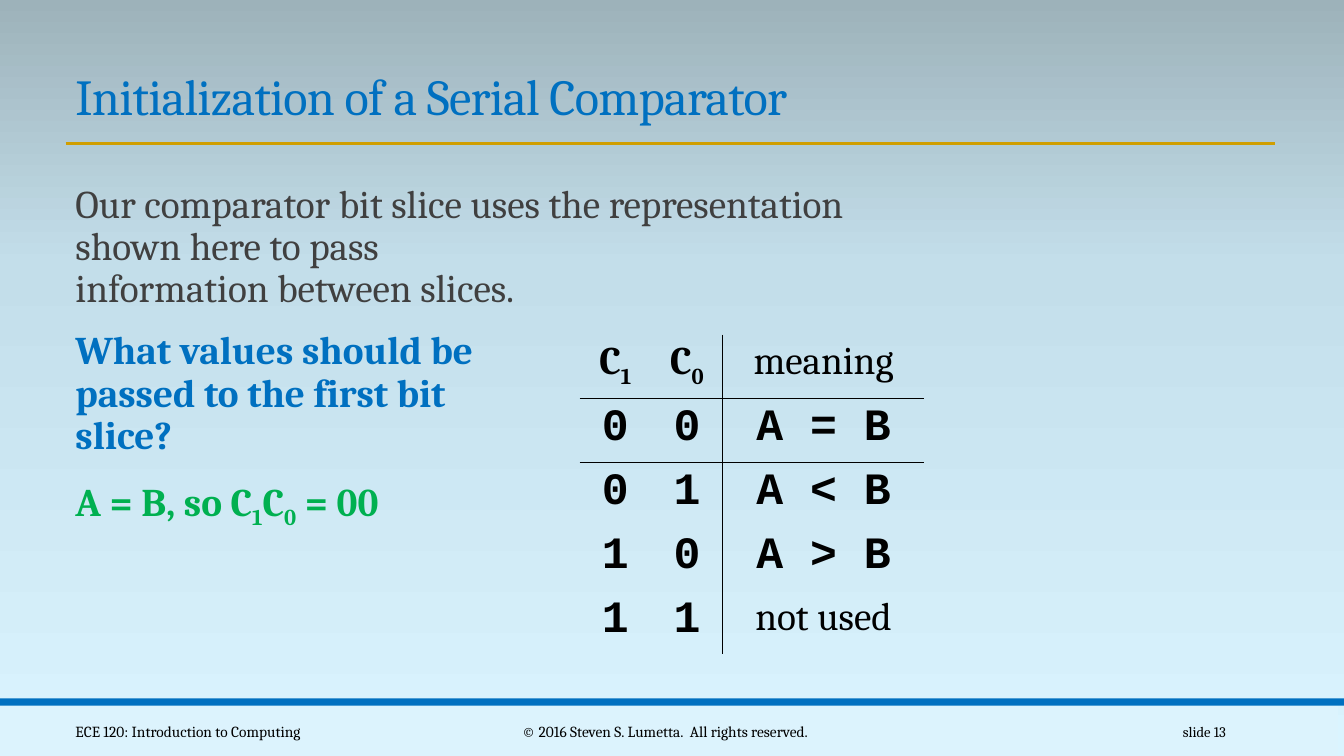
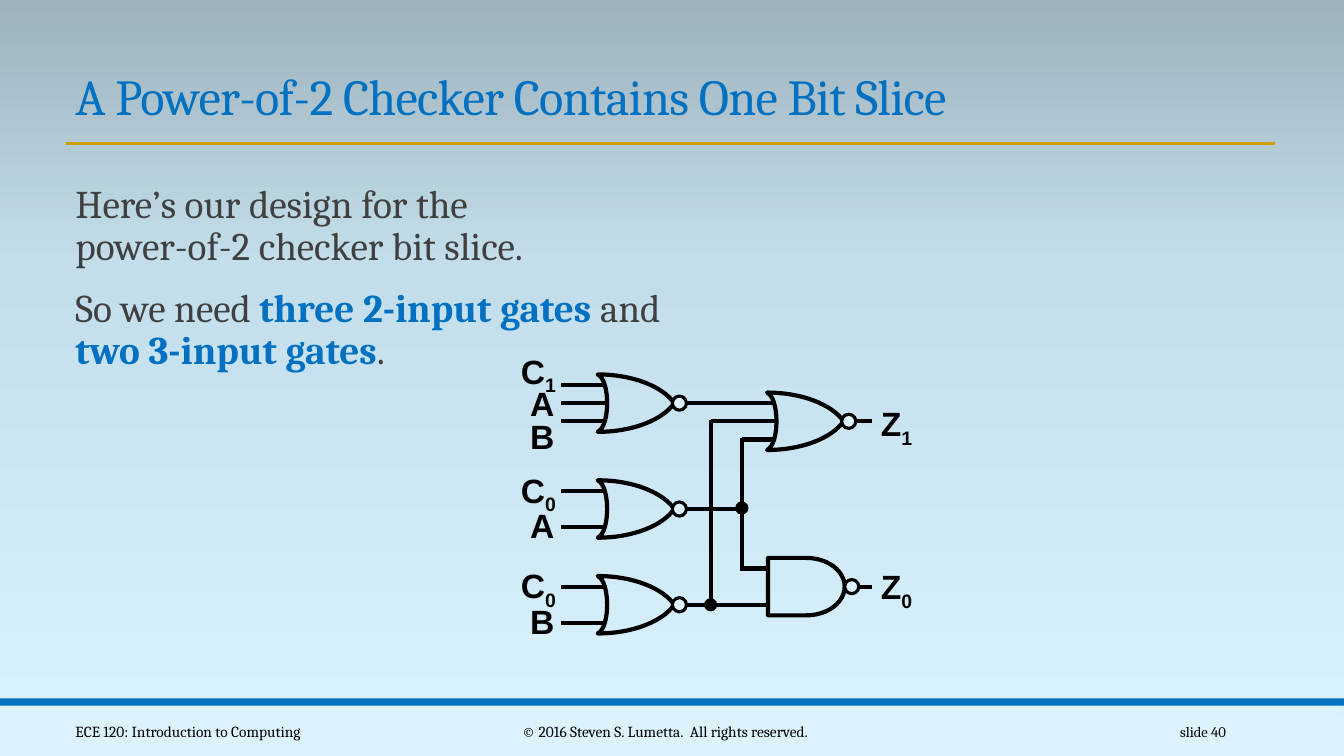
import copy
from dataclasses import dataclass
from typing import Any, NamedTuple

import pptx
import pptx.dml.color
import pptx.enum.shapes
import pptx.enum.text
import pptx.oxml
import pptx.oxml.ns
import pptx.util

Pt = pptx.util.Pt
ALIGN = pptx.enum.text.PP_ALIGN
ANCHOR = pptx.enum.text.MSO_ANCHOR
SHAPE = pptx.enum.shapes.MSO_SHAPE

# Grid: 0.1 inch cells, columns across and rows down
CELL = pptx.util.Inches(0.1)
COLS, ROWS = 133.33, 75

COLORS = {
    "sky": "DAF4FF", "mist": "C3DEEA", "slate": "9DB2BA", "pale": "DCF3FD",
    "blue": "0070C0", "gold": "D09E00", "gray": "404040", "green": "00B050",
    "black": "000000",
}
BACKGROUND = [(0, "sky"), (0.65, "mist"), (1, "slate")]

# Text styles: colour, then font attributes
STYLES: dict[str, tuple[str, dict[str, Any]]] = {
    "title": ("blue", {"name": "Cambria", "size": Pt(36)}),
    "body": ("gray", {"name": "Cambria", "size": Pt(28)}),
    "key": ("blue", {"name": "Cambria", "size": Pt(28), "bold": True}),
    "answer": ("green", {"name": "Cambria", "size": Pt(28), "bold": True}),
    "footer": ("black", {"name": "Cambria", "size": Pt(11)}),
    "number": ("black", {"name": "Cambria", "size": Pt(10.5)}),
    "head": ("black", {"name": "Cambria", "size": Pt(28), "bold": True}),
    "word": ("black", {"name": "Cambria", "size": Pt(28)}),
    "code": ("black", {"name": "Courier New", "size": Pt(32), "bold": True}),
    "signal": ("black", {"name": "Arial", "size": Pt(24), "bold": True}),
}
BODY_FORMAT = {"line_spacing": 0.9, "space_before": Pt(12), "space_after": Pt(2)}
NO_TABLE_STYLE = "{2D5ABB26-0587-4C30-8999-92F81FD0307C}"


class Run(NamedTuple):
    text: str
    style: str
    sub: bool = False


class Box(NamedTuple):
    left: float
    top: float
    width: float
    height: float


class Label(NamedTuple):
    letter: str
    digit: str
    left: float
    top: float


@dataclass(frozen=True)
class Gate:
    kind: str
    left: float
    mid: float
    inputs: tuple[float, ...]  # column where each input wire starts
    output: float              # column where the output wire ends


Paragraph = list[Run]
TITLE = Box(6.5, 5.9, 120.1, 7.1)
BODY = Box(6.5, 17.8, 85.2, 46.4)
FOOTERS = [
    (Box(6.5, 70.6, 32.5, 4), "ECE 120: Introduction to Computing", "footer", ALIGN.LEFT),
    (Box(40.3, 70.6, 51.4, 4), "© 2016 Steven S. Lumetta.  All rights reserved.",
     "footer", ALIGN.CENTER),
    (Box(108.3, 70.6, 14.3, 4), "slide {}", "number", ALIGN.RIGHT),
]

GATE_WIDTH, GATE_HEIGHT, INPUT_SPREAD = 7.6, 5.7, 1.8
GATES = [
    Gate("nor", 59.3, 40, (55.7,) * 3, 69.8),
    Gate("nor", 59.3, 50.5, (55.7,) * 2, 73.6),
    Gate("nor", 59.3, 60, (55.7,) * 2, 70.5),
    Gate("nor", 76.1, 41.8, (68.3, 70.5, 73.6), 86.5),
    Gate("nand", 76.2, 58.2, (73.6, 68.3), 86.5),
]
RISERS = [(73.6, 43.5, 56.6), (70.5, 41.7, 60)]
JUNCTIONS = [(73.6, 50.4), (70.5, 60)]
LABELS = [
    Label("C", "1", 50.7, 34.3), Label("A", "", 51.6, 37.5), Label("B", "", 51.6, 40.8),
    Label("C", "0", 50.7, 46.1), Label("A", "", 51.6, 49.6),
    Label("C", "0", 50.7, 55.6), Label("B", "", 51.6, 59.1),
    Label("Z", "1", 86.4, 39.5), Label("Z", "0", 86.4, 55.7),
]
LABEL_WIDTHS = {"C": 5.7, "Z": 5.3, "A": 4.5, "B": 4.5}


def grid(*cells: float) -> list[int]:
    return [round(c * CELL) for c in cells]


def rgb(color: str) -> pptx.dml.color.RGBColor:
    return pptx.dml.color.RGBColor.from_string(COLORS[color])


def apply(target: Any, values: dict[str, Any]) -> None:
    for name, value in values.items():
        setattr(target, name, value)


def indexed(letter: str, digit: str, style: str) -> Paragraph:
    return [Run(letter, style)] + ([Run(digit, style, True)] if digit else [])


# Text
def write(tf: Any, paragraphs: list[Paragraph], fmt: dict[str, Any]) -> None:
    for i, runs in enumerate(paragraphs):
        p = tf.add_paragraph() if i else tf.paragraphs[0]
        apply(p, fmt)
        for run in runs:
            color, font = STYLES[run.style]
            for j, line in enumerate(run.text.split("\n")):
                if j:
                    p.add_line_break()
                r = p.add_run()
                r.text = line
                apply(r.font, font)
                r.font.color.rgb = rgb(color)
                if run.sub:
                    r.font._element.set("baseline", "-25000")


def add_text(shapes: Any, box: Box, paragraphs: list[Paragraph], fmt: dict[str, Any],
             **frame: Any) -> Any:
    tf = shapes.add_textbox(*grid(*box)).text_frame
    apply(tf, {"word_wrap": True, **frame})
    write(tf, paragraphs, fmt)
    return tf


# Lines and shapes
def add_line(shapes: Any, ends: tuple[float, ...], color: str, width: float) -> None:
    c = shapes.add_connector(pptx.enum.shapes.MSO_CONNECTOR.STRAIGHT, *grid(*ends))
    c.line.color.rgb = rgb(color)
    c.line.width = Pt(width)
    no_shadow = pptx.oxml.parse_xml(f'<a:effectLst {pptx.oxml.ns.nsdecls("a")}/>')
    c._element.spPr.append(no_shadow)


def paint(sp: Any, fill: str = "", line: str = "", width: float = 0) -> None:
    sp.shadow.inherit = False
    for part, color in ((sp.fill, fill), (sp.line.fill, line)):
        if color:
            part.solid()
            part.fore_color.rgb = rgb(color)
        else:
            part.background()
    if line:
        sp.line.width = Pt(width)


def add_circle(shapes: Any, x: float, y: float, size: float, fill: str) -> None:
    box = grid(x - size / 2, y - size / 2, size, size)
    paint(shapes.add_shape(SHAPE.OVAL, *box), fill, "black", 2.25)


# Parts shared by every slide
def set_background(master: Any) -> None:
    fill = master.background.fill
    fill.gradient()
    stops = master.element.find(".//" + pptx.oxml.ns.qn("a:gsLst"))
    stops.append(copy.deepcopy(stops[0]))
    for stop, (position, color) in zip(fill.gradient_stops, BACKGROUND):
        stop.position = position
        stop.color.rgb = rgb(color)
    fill.gradient_angle = 90


def add_slide(prs: Any, title: str, number: int, body: list[Paragraph]) -> Any:
    s = prs.slides.add_slide(prs.slide_layouts[6])
    for box, color in ((Box(-0.6, 70, COLS, 5), "pale"), (Box(0, 69.3, COLS, 0.7), "blue")):
        paint(s.shapes.add_shape(SHAPE.RECTANGLE, *grid(*box)), color)
    add_line(s.shapes, (6.5, 14.2, 126.5, 14.2), "gold", 2)
    tf = add_text(s.shapes, TITLE, [[Run(title, "title")]], {"line_spacing": 0.85},
                  vertical_anchor=ANCHOR.BOTTOM)
    tf.paragraphs[0].runs[0].font._element.set("spc", "-50")
    add_text(s.shapes, BODY, body, BODY_FORMAT, margin_right=0)
    for box, text, style, align in FOOTERS:
        add_text(s.shapes, box, [[Run(text.format(number), style)]], {"alignment": align},
                 vertical_anchor=ANCHOR.MIDDLE)
    return s


# Truth table
def add_border(cell: Any, side: str) -> None:
    ln = pptx.oxml.parse_xml(
        f'<a:ln{side} {pptx.oxml.ns.nsdecls("a")} w="12700"><a:solidFill>'
        f'<a:srgbClr val="{COLORS["black"]}"/></a:solidFill></a:ln{side}>')
    cell._tc.get_or_add_tcPr().append(ln)


def add_meanings(s: Any) -> None:
    rows = [[indexed("C", "1", "head"), indexed("C", "0", "head"), [Run("meaning", "word")]]]
    for i, meaning in enumerate(("A = B", "A < B", "A > B", "not used")):
        style = "word" if meaning == "not used" else "code"
        rows.append([[Run(bit, "code")] for bit in f"{i:02b}"] + [[Run(meaning, style)]])
    widths, heights = (7.1, 7.1, 20), (4.7,) + (5.4,) * 4
    box = grid(57.5, 33.2, sum(widths), sum(heights))
    table = s.shapes.add_table(len(rows), len(widths), *box).table
    apply(table, {"first_row": False, "horz_banding": False})
    table._tbl.tblPr.find(pptx.oxml.ns.qn("a:tableStyleId")).text = NO_TABLE_STYLE
    for column, width in zip(table.columns, grid(*widths)):
        column.width = width
    for i, (row, height) in enumerate(zip(rows, grid(*heights))):
        table.rows[i].height = height
        for j, runs in enumerate(row):
            cell = table.cell(i, j)
            write(cell.text_frame, [runs], {"alignment": ALIGN.CENTER})
            edges = {"L": j == 2, "R": j == 1, "T": i == 1, "B": i == 0}
            for side in (side for side, drawn in edges.items() if drawn):
                add_border(cell, side)
            cell.fill.background()


# Logic circuit
def bezier(*points: tuple[float, float]) -> list[tuple[float, float]]:
    weights = [((1 - t) ** 3, 3 * t * (1 - t) ** 2, 3 * t * t * (1 - t), t ** 3)
               for t in (k / 16 for k in range(17))]
    return [(sum(w * x for w, (x, _) in zip(ws, points)),
             sum(w * y for w, (_, y) in zip(ws, points))) for ws in weights]


def add_nor_body(shapes: Any, left: float, mid: float) -> Any:
    h = GATE_HEIGHT / 2
    top = bezier((0, -h), (3.4, -h), (6.4, -1.7), (GATE_WIDTH, 0))
    bottom = [(x, -y) for x, y in reversed(top)]
    back = bezier((0, h), (1.25, h * 0.8), (1.25, -h * 0.8), (0, -h))
    points = [tuple(grid(left + x, mid + y)) for x, y in top + bottom[1:] + back[1:-1]]
    builder = shapes.build_freeform(*points[0])
    builder.add_line_segments(points[1:], close=True)
    return builder.convert_to_shape()


def add_gate(shapes: Any, gate: Gate) -> None:
    nor = gate.kind == "nor"
    step = 2 * INPUT_SPREAD / (len(gate.inputs) - 1)
    for i, start in enumerate(gate.inputs):
        y = gate.mid - INPUT_SPREAD + i * step
        add_line(shapes, (start, y, gate.left + (0.8 if nor else 0), y), "black", 3)
    add_line(shapes, (gate.left + GATE_WIDTH, gate.mid, gate.output, gate.mid), "black", 3)
    if nor:
        sp = add_nor_body(shapes, gate.left, gate.mid)
    else:
        box = grid(gate.left, gate.mid - GATE_HEIGHT / 2, GATE_WIDTH, GATE_HEIGHT)
        sp = shapes.add_shape(SHAPE.FLOWCHART_DELAY, *box)
    paint(sp, line="black", width=3)
    add_circle(shapes, gate.left + (8.1 if nor else 8.3), gate.mid, 1.4, "pale")


def add_circuit(s: Any) -> None:
    shapes = s.shapes.add_group_shape().shapes
    for gate in GATES:
        add_gate(shapes, gate)
    for x, top, bottom in RISERS:
        add_line(shapes, (x, top, x, bottom), "black", 3)
    for x, y in JUNCTIONS:
        add_circle(shapes, x, y, 1, "black")
    for label in LABELS:
        box = Box(label.left, label.top, LABEL_WIDTHS[label.letter], 5)
        add_text(shapes, box, [indexed(label.letter, label.digit, "signal")], {},
                 word_wrap=False, auto_size=pptx.enum.text.MSO_AUTO_SIZE.SHAPE_TO_FIT_TEXT)


def main() -> None:
    prs = pptx.Presentation()
    prs.slide_width, prs.slide_height = grid(COLS, ROWS)
    set_background(prs.slide_master)

    add_meanings(add_slide(prs, "Initialization of a Serial Comparator", 13, [
        [Run("Our comparator bit slice uses the representation shown here to pass \n"
             "information between slices.", "body")],
        [Run("What values should be\npassed to the first bit\nslice?", "key")],
        [Run("A = B, so ", "answer"), *indexed("C", "1", "answer"),
         *indexed("C", "0", "answer"), Run(" = 00", "answer")],
    ]))
    add_circuit(add_slide(prs, "A Power-of-2 Checker Contains One Bit Slice", 40, [
        [Run("Here’s our design for the \npower-of-2 checker bit slice.", "body")],
        [Run("So we need ", "body"), Run("three 2-input gates ", "key"), Run("and \n", "body"),
         Run("two 3-input gates", "key"), Run(".", "body")],
    ]))
    prs.save("out.pptx")


if __name__ == "__main__":
    main()
